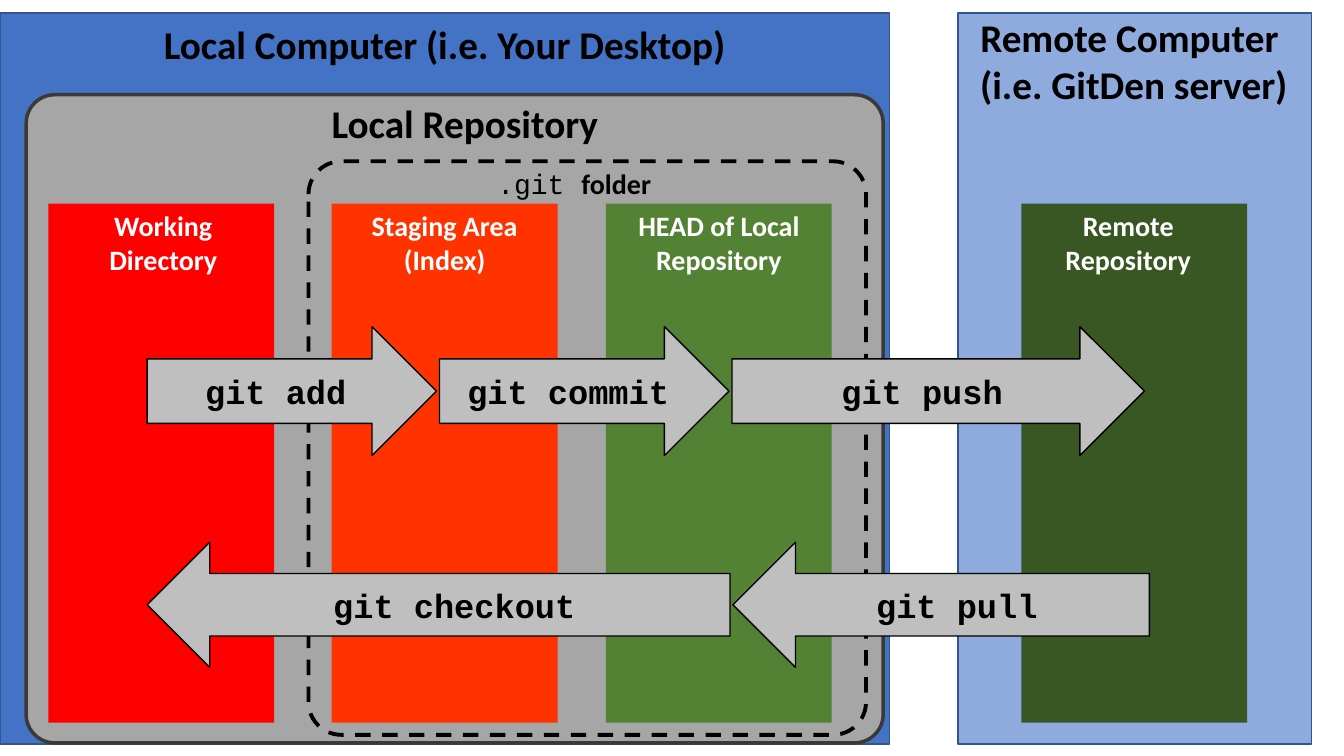
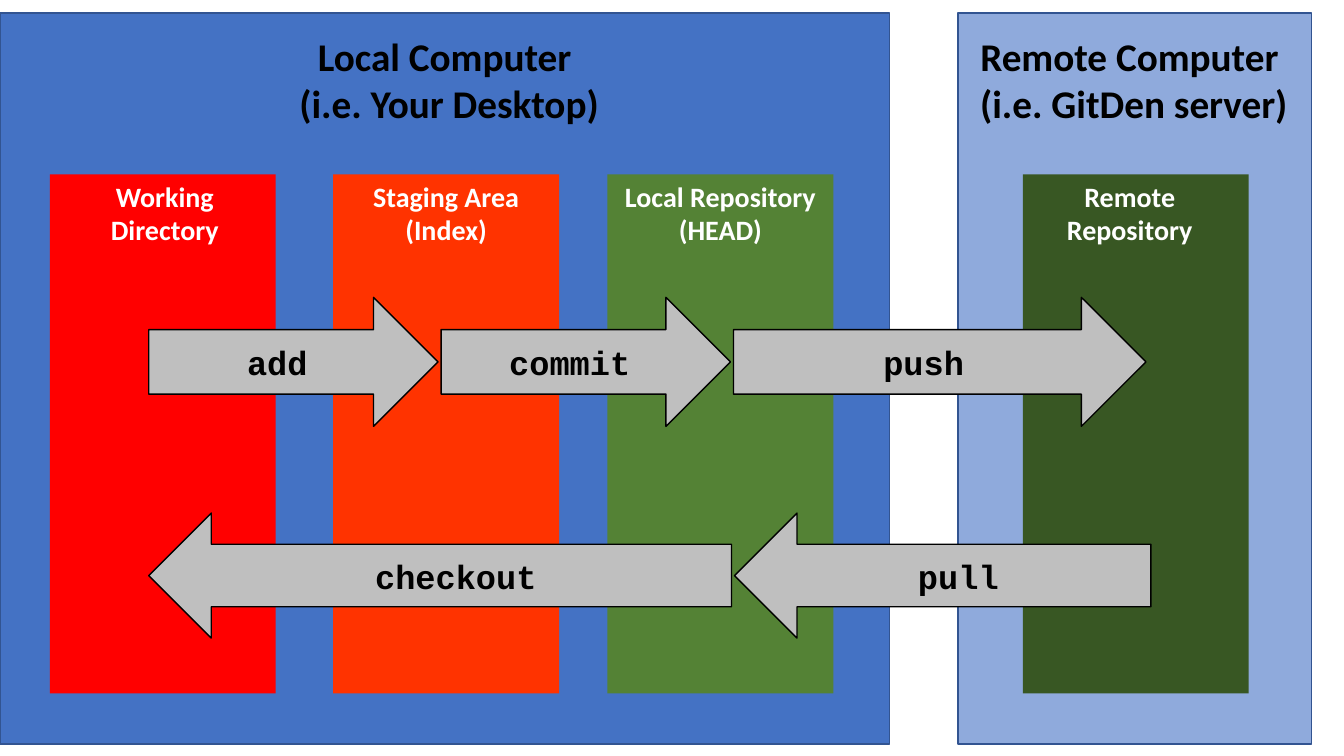
import pptx
import pptx.util
import pptx.dml.color
import pptx.enum.dml
import pptx.enum.shapes
import pptx.enum.text
from dataclasses import dataclass

SHAPE = pptx.enum.shapes.MSO_SHAPE
ANCHOR = pptx.enum.text.MSO_ANCHOR
CELL = 0.1  # side of one grid cell, in inches


@dataclass(frozen=True)
class Theme:
    sans: str = "Calibri"
    mono: str = "Courier New"
    title: int = 28
    command: int = 24
    heading: int = 20
    ink: str = "000000"
    paper: str = "FFFFFF"
    local: str = "4472C4"
    remote: str = "8FAADC"
    panel_line: str = "325491"
    repo: str = "A6A6A6"
    repo_line: str = "3B3838"
    arrow: str = "BFBFBF"
    columns: tuple = ("FF0000", "FF3300", "548235", "385723")


@dataclass(frozen=True)
class Box:
    """A region in grid columns and rows."""
    x: float
    y: float
    w: float
    h: float

    def inside(self, x, y, w, h):
        return Box(self.x + x, self.y + y, w, h)

    def emu(self):
        return [pptx.util.Inches(n * CELL) for n in (self.x, self.y, self.w, self.h)]


T = Theme()
LOCAL = Box(0, 1.3, 88.2, 72.5)
REMOTE = Box(95, 1.3, 35.1, 72.5)

# Board layout, relative to its top left corner
COLUMN_X = (0, 28.1, 55.3, 96.5)
COLUMN_W, COLUMN_H = 22.4, 51.5
HEADING_SHIFT = (0.2, 0, 0, -0.6)
ARROW_X, ARROW_GAP = 9.8, 0.3
FORWARD = dict(kind=SHAPE.RIGHT_ARROW, y=12.2, h=12.8, widths=(28.7, 28.7, 40.9))
BACKWARD = dict(kind=SHAPE.LEFT_ARROW, y=33.6, h=12.4, widths=(57.8, 41.3))


def rgb(value):
    return pptx.dml.color.RGBColor.from_string(value)


def write(tf, paragraphs, size, font=T.sans, color=T.ink, bold=True, anchor=ANCHOR.TOP):
    """Fill a frame; a paragraph is a string or a list of (text, font, bold) runs."""
    tf.word_wrap = True
    tf.auto_size = pptx.enum.text.MSO_AUTO_SIZE.NONE
    tf.vertical_anchor = anchor
    for i, runs in enumerate(paragraphs):
        p = tf.add_paragraph() if i else tf.paragraphs[0]
        p.alignment = pptx.enum.text.PP_ALIGN.CENTER
        for text, face, heavy in [(runs, font, bold)] if isinstance(runs, str) else runs:
            r = p.add_run()
            r.text = text
            r.font.name, r.font.size, r.font.bold = face, pptx.util.Pt(size), heavy
            r.font.color.rgb = rgb(color)


def add_label(slide, box, paragraphs, size, **fmt):
    sp = slide.shapes.add_textbox(*box.emu())
    write(sp.text_frame, paragraphs, size, **fmt)


def add_block(slide, box, kind=SHAPE.RECTANGLE, fill=None, line=None, width=1, adj=None, dash=None):
    sp = slide.shapes.add_shape(kind, *box.emu())
    sp.shadow.inherit = False
    if fill:
        sp.fill.solid()
        sp.fill.fore_color.rgb = rgb(fill)
    else:
        sp.fill.background()
    if line:
        sp.line.color.rgb = rgb(line)
        sp.line.width = pptx.util.Pt(width)
        sp.line.dash_style = dash
    else:
        sp.line.fill.background()
    if adj is not None:
        sp.adjustments[0] = adj
    return sp


def add_computers(slide, local_title, local_y, remote_y):
    """Two machine panels; the slide title heads the local one."""
    add_block(slide, LOCAL, fill=T.local, line=T.panel_line)
    add_block(slide, REMOTE, fill=T.remote, line=T.panel_line)
    title = slide.shapes.title
    title.left, title.top, title.width, title.height = LOCAL.inside(
        0, local_y, LOCAL.w, 1 + 4.7 * len(local_title)).emu()
    write(title.text_frame, local_title, T.title)
    slide.shapes._spTree.append(title._element)  # bring in front of the panel
    add_label(slide, REMOTE.inside(0, remote_y, 34.9, 10.4),
              ["Remote Computer ", "(i.e. GitDen server)"], T.title)


def add_repository(slide, box):
    """Repository frame with the dashed folder outline and their labels."""
    add_block(slide, box, SHAPE.ROUNDED_RECTANGLE, fill=T.repo, line=T.repo_line,
              width=2.5, adj=0.044)
    add_block(slide, box.inside(28, 6.6, 55.3, 56.9), SHAPE.ROUNDED_RECTANGLE, line=T.ink,
              width=2.75, adj=0.059, dash=pptx.enum.dml.MSO_LINE.DASH)
    add_label(slide, box.inside(30.7, 6.6, 47.3, 4.4),
              [[(".git ", T.mono, False), ("folder", T.sans, True)]], T.heading)
    add_label(slide, box.inside(-0.6, 0, 88.2, 5.7), ["Local Repository"], T.title)


def add_arrows(slide, board, commands, kind, y, h, widths):
    """A row of command arrows laid end to end."""
    x = ARROW_X
    for command, w in zip(commands, widths):
        sp = add_block(slide, board.inside(x, y, w, h), kind, fill=T.arrow, line=T.ink)
        write(sp.text_frame, [command], T.command, font=T.mono, anchor=ANCHOR.MIDDLE)
        x += w + ARROW_GAP


def add_board(slide, board, head, prefix=""):
    """Four storage columns crossed by the command arrows."""
    headings = (["Working", "Directory"], ["Staging Area", "(Index)"], head,
                ["Remote Repository"])
    for x, fill, shift, heading in zip(COLUMN_X, T.columns, HEADING_SHIFT, headings):
        add_block(slide, board.inside(x, 0, COLUMN_W, COLUMN_H), fill=fill)
        add_label(slide, board.inside(x + shift, 0, COLUMN_W, 7.7), heading, T.heading,
                  color=T.paper)
    for commands, row in ((("add", "commit", "push"), FORWARD),
                          (("checkout", "pull"), BACKWARD)):
        add_arrows(slide, board, [prefix + c for c in commands], **row)


def detailed_slide(slide):
    add_computers(slide, ["Local Computer (i.e. Your Desktop)"], local_y=0.2, remote_y=-0.5)
    add_repository(slide, Box(2.6, 9.4, 85, 64.3))
    add_board(slide, Box(4.8, 20.2, 118.9, COLUMN_H), ["HEAD of Local Repository"], "git ")


def simple_slide(slide):
    add_computers(slide, ["Local Computer", " (i.e. Your Desktop)"], local_y=1.4, remote_y=1.4)
    add_board(slide, Box(4.95, 17.3, 118.9, COLUMN_H), ["Local Repository", "(HEAD)"])


def main():
    prs = pptx.Presentation()
    prs.slide_width, prs.slide_height = pptx.util.Inches(13.33), pptx.util.Inches(7.5)
    for build in (detailed_slide, simple_slide):
        build(prs.slides.add_slide(prs.slide_layouts[5]))
    prs.save("out.pptx")


if __name__ == "__main__":
    main()
